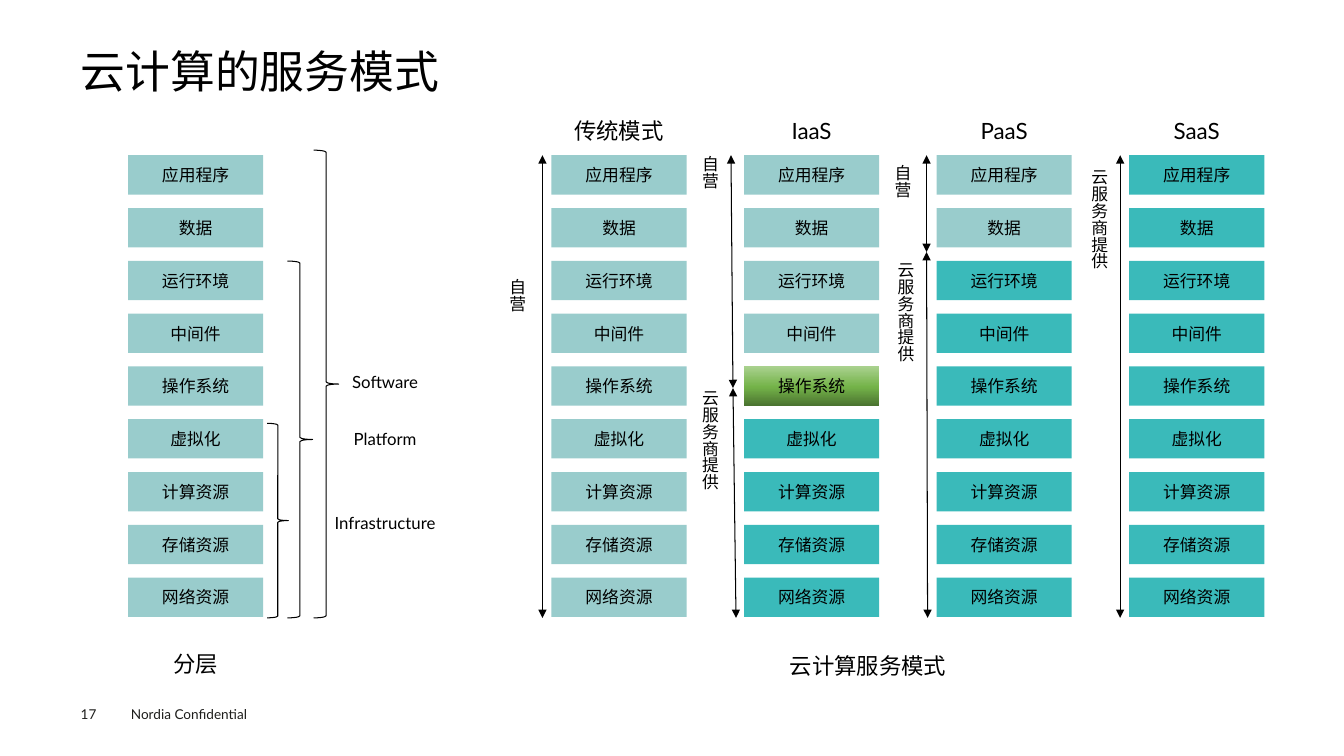
"""Build the slide comparing the service models of cloud computing."""
from copy import deepcopy
from dataclasses import dataclass

from pptx import Presentation
from pptx.dml.color import RGBColor
from pptx.enum.shapes import MSO_CONNECTOR, MSO_SHAPE
from pptx.enum.text import MSO_ANCHOR, PP_ALIGN
from pptx.oxml.ns import qn
from pptx.util import Inches, Pt

RECT, BRACE = MSO_SHAPE.RECTANGLE, MSO_SHAPE.RIGHT_BRACE
LINE = MSO_CONNECTOR.STRAIGHT
TOP, MIDDLE = MSO_ANCHOR.TOP, MSO_ANCHOR.MIDDLE
LEFT, CENTER = PP_ALIGN.LEFT, PP_ALIGN.CENTER


@dataclass(frozen=True)
class Theme:
    """Hold the colours, font and type sizes of the slide."""
    font: str = "Lato"
    ink: str = "000000"
    soft: str = "1D1D1B"
    own: str = "99CCCC"
    cloud: str = "3ABABA"
    blend: tuple = ((0, "4B7430"), (0.48, "74B349"), (1, "A9D18E"))
    title: float = 32
    head: float = 16
    body: float = 12
    foot: float = 9.7
    rule: float = 0.75


THEME = Theme()
TITLE = "云计算的服务模式"
FOOTER = "Nordia Confidential"
NUMBER = "17"
LAYERS = ["应用程序", "数据", "运行环境", "中间件", "操作系统",
          "虚拟化", "计算资源", "存储资源", "网络资源"]
OWN, CLOUD = "自营", "云服务商提供"

# fmt: off
WIDE, HIGH = 13.33, 7.5
STACK, FIRST, STEP = 1.27, 5.47, 1.91
BOX_W, BOX_H, LABEL_H = 1.34, 0.39, 0.31
ROW_TOP, LAST_TOP = 1.54, 5.73
PITCH = (LAST_TOP - ROW_TOP) / (len(LAYERS) - 1)
BASE = 6.13

BRACES = [("Infrastructure", 2.65, 4.2, 0.21, 5.03),
          ("Platform", 2.85, 2.59, 0.25, 4.2),
          ("Software", 3.11, 1.49, 0.25, 3.63)]
MODELS = [
    ("传统模式", 9, 9, [(OWN, 0.09, ROW_TOP, 0.09, BASE, 0.58, 2.67, 2.23)]),
    ("IaaS", 4, 5, [(OWN, 0.13, ROW_TOP, 0.11, 3.85, 0.58, 1.45, 2.23),
                    (CLOUD, 0.11, 3.85, 0.08, BASE, 0.55, 3.77, 2.23)]),
    ("PaaS", 2, 2, [(OWN, 0.1, ROW_TOP, 0.1, 2.5, 0.58, 1.54, 1.01),
                    (CLOUD, 0.1, 2.5, 0.09, BASE, 0.52, 2.5, 3.5)]),
    ("SaaS", 0, 0, [(CLOUD, 0.09, ROW_TOP, 0.09, BASE, 0.51, 1.58, 4.42)]),
]


def rgb(code):
    """Turn a hex code into a colour."""
    return RGBColor.from_string(code)


def write(shape, text, size, color=THEME.ink, align=CENTER, anchor=MIDDLE):
    """Put one styled paragraph into a shape."""
    frame = shape.text_frame
    frame.word_wrap = True
    frame.vertical_anchor = anchor
    para = frame.paragraphs[0]
    para.text = text
    para.alignment = align
    para.font.name = THEME.font
    para.font.size = Pt(size)
    para.font.color.rgb = rgb(color)
    return frame


def label(slide, text, area, size, **style):
    """Add a text box at the given area."""
    box = slide.shapes.add_textbox(*map(Inches, area))
    return write(box, text, size, **style)


def trim(frame):
    """Remove the inner margins of a text frame."""
    frame.margin_left = frame.margin_right = 0
    frame.margin_top = frame.margin_bottom = 0


def shade(shape):
    """Fill a shape with the blend shared by both owners."""
    shape.fill.gradient()
    shape.fill.gradient_angle = 90
    stops = next(shape._element.iter(qn("a:gsLst")))
    stops.append(deepcopy(stops[-1]))
    for stop, (place, code) in zip(shape.fill.gradient_stops, THEME.blend):
        stop.position = place
        stop.color.rgb = rgb(code)


def column(slide, left, own, mixed):
    """Stack the layers, coloured by who runs them."""
    for row, name in enumerate(LAYERS):
        area = (left, ROW_TOP + row * PITCH, BOX_W, BOX_H)
        box = slide.shapes.add_shape(RECT, *map(Inches, area))
        box.shadow.inherit = False
        box.line.fill.background()
        if own <= row < mixed:
            shade(box)
        else:
            box.fill.solid()
            box.fill.fore_color.rgb = rgb(THEME.own if row < own else THEME.cloud)
        write(box, name, THEME.body)


def brace(slide, name, left, top, width, text_top):
    """Draw a brace down to the base and its label."""
    area = (left, top, width, BASE - top)
    mark = slide.shapes.add_shape(BRACE, *map(Inches, area))
    mark.shadow.inherit = False
    mark.fill.background()
    mark.line.color.rgb = rgb(THEME.ink)
    mark.line.width = Pt(THEME.rule)
    label(slide, name, (3.15, text_top, BOX_W, LABEL_H), THEME.body)


def arrow(slide, *ends):
    """Draw a line with a head at each end."""
    line = slide.shapes.add_connector(LINE, *map(Inches, ends))
    line.line.color.rgb = rgb(THEME.ink)
    line.line.width = Pt(THEME.rule)
    props = line._element.spPr
    stroke = props.find(qn("a:ln"))
    for tag in ("a:headEnd", "a:tailEnd"):
        stroke.append(stroke.makeelement(qn(tag), {"type": "triangle"}))
    props.append(props.makeelement(qn("a:effectLst"), {}))


def span(slide, left, name, start, top, end, low, gap, text_top, tall):
    """Draw the arrow and upright label of one owner."""
    arrow(slide, left - start, top, left - end, low)
    width = 0.45 if name == OWN else 0.42
    frame = label(slide, name, (left - gap, text_top, width, tall),
                  THEME.body, align=LEFT, anchor=TOP)
    frame.margin_left = frame.margin_right = Inches(0.11)
    frame._txBody.bodyPr.set("vert", "eaVert")


def main():
    """Build and save the slide."""
    deck = Presentation()
    deck.slide_width, deck.slide_height = Inches(WIDE), Inches(HIGH)
    slide = deck.slides.add_slide(deck.slide_layouts[6])
    plain = {"align": LEFT, "anchor": TOP}
    label(slide, FOOTER, (1.2, 6.95, 1.6, 0.27), THEME.foot,
          color=THEME.soft, **plain)
    trim(label(slide, NUMBER, (0.8, 7, 0.55, 0.16), THEME.foot,
               color=THEME.soft, **plain))
    title = label(slide, TITLE, (0.8, 0.49, 11.73, 0.54), THEME.title, **plain)
    trim(title)
    title.paragraphs[0].line_spacing = 0.9

    column(slide, STACK, len(LAYERS), len(LAYERS))
    for item in BRACES:
        brace(slide, *item)
    for index, (name, own, mixed, spans) in enumerate(MODELS):
        left = FIRST + index * STEP
        column(slide, left, own, mixed)
        label(slide, name, (left, 1.14, BOX_W, LABEL_H), THEME.head)
        for part in spans:
            span(slide, left, *part)
    label(slide, "分层", (STACK, 6.43, BOX_W, LABEL_H), THEME.head)
    label(slide, "云计算服务模式", (6.9, 6.43, 3.42, 0.35), THEME.head)
    deck.save("out.pptx")


if __name__ == "__main__":
    main()
